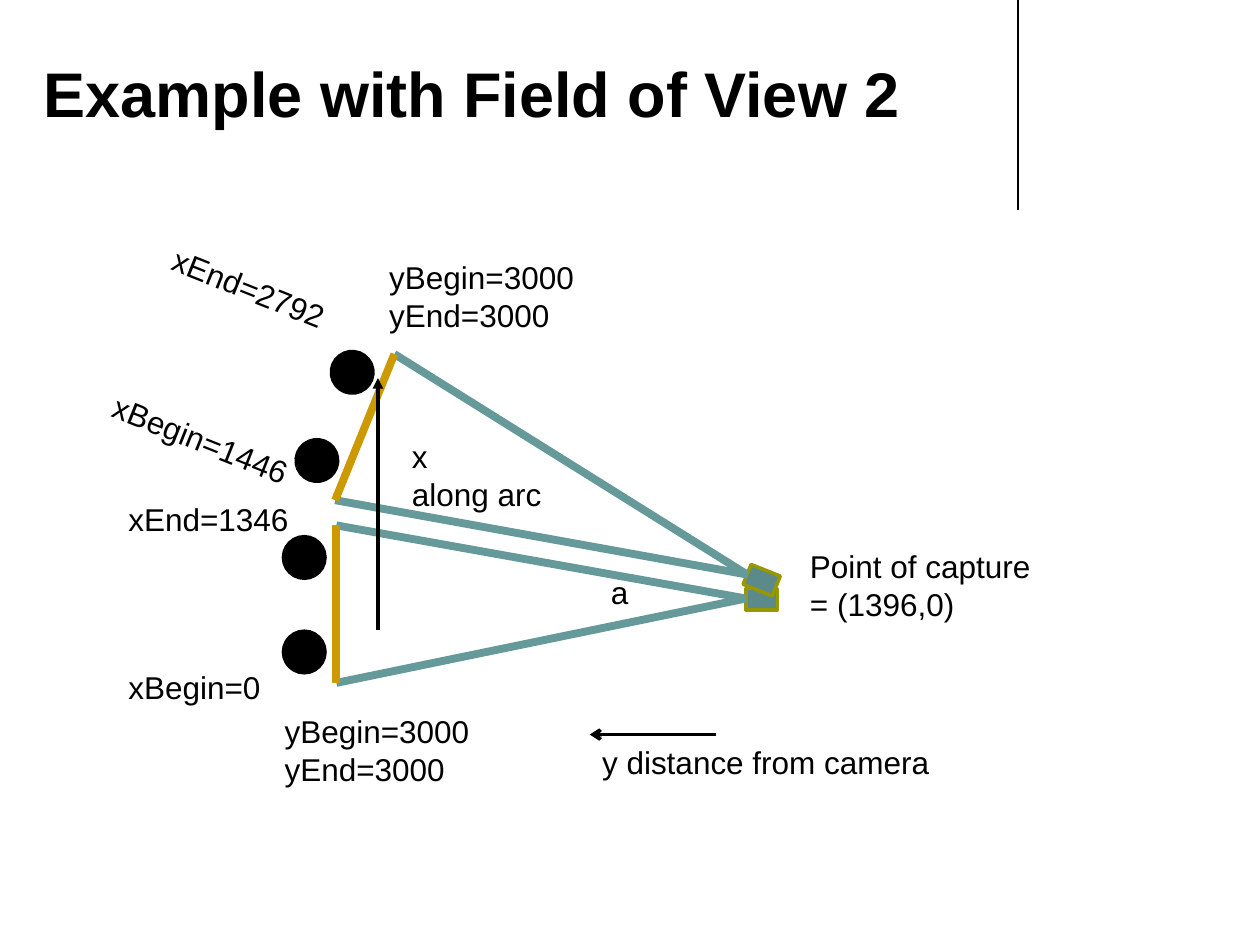
from lxml.etree import SubElement
from pptx import Presentation
from pptx.dml.color import RGBColor
from pptx.enum.shapes import MSO_CONNECTOR as Connector, MSO_SHAPE as Preset
from pptx.enum.text import MSO_ANCHOR as Anchor
from pptx.oxml.ns import qn
from pptx.util import Inches, Pt

BLACK = RGBColor(0x00, 0x00, 0x00)
TEAL = RGBColor(0x66, 0x99, 0x99)
CAMERA_FILL = RGBColor(0x5C, 0x8A, 0x8A)
OLIVE = RGBColor(0x97, 0x97, 0x00)
GOLD = RGBColor(0xCC, 0x99, 0x00)

FONT = "Arial"
TILT = 21.8
TARGET_SIZE = 0.33
CAMERA_SIZE = (0.25, 0.17)
CURVE_STEPS = 8

TITLE = ("Example with Field of View 2", 0.25, 0.13, 7.75, 0.95)
Y_RANGE = "yBegin=3000\nyEnd=3000"
LABELS = [
    ("xBegin=0", 0.92, 5.25, 1.26, 0.4, 0),
    ("Point of capture = (1396,0)", 6.33, 4.29, 2, 0.71, 0),
    ("y distance from camera", 4.68, 5.85, 2.82, 0.4, 0),
    ("xEnd=1346", 0.92, 3.92, 1.49, 0.4, 0),
    (Y_RANGE, 2.16, 5.6, 1.68, 0.71, 0),
    ("xBegin=1446", 0.76, 3.29, 1.68, 0.4, TILT),
    ("xEnd=2792", 1.24, 2.09, 1.49, 0.4, TILT),
    ("a", 4.75, 4.5, 0.43, 0.4, 0),
    (Y_RANGE, 2.99, 2, 1.68, 0.71, 0),
    ("x\nalong arc", 3.17, 3.42, 1.58, 0.71, 0),
]
VIEWS = [
    {"targets": [(2.25, 4.26), (2.25, 5.01)], "camera": (5.92, 4.67), "rotation": 0,
     "lens": (5.92, 4.75), "begin": (2.67, 5.42), "end": (2.67, 4.17)},
    {"targets": [(2.63, 2.79), (2.35, 3.49)], "camera": (5.92, 4.52), "rotation": TILT,
     "lens": (5.93, 4.56), "begin": (2.66, 3.97), "end": (3.13, 2.81)},
]
ARC_START = (2.84, 4.88)
ARC_CURVES = [
    ((2.84, 4.85), (2.83, 4.82), (2.84, 4.72)),
    ((2.84, 4.62), (2.84, 4.44), (2.87, 4.28)),
    ((2.9, 4.12), (2.96, 3.93), (3.01, 3.79)),
    ((3.05, 3.64), (3.15, 3.42), (3.15, 3.42)),
]

presentation = Presentation()
presentation.slide_width, presentation.slide_height = Inches(10), Inches(7.5)
slide = presentation.slides.add_slide(presentation.slide_layouts[6])


def add_text(text, left, top, width, height, rotation=0, size=18, bold=False, anchor=Anchor.TOP):
    box = slide.shapes.add_textbox(*map(Inches, (left, top, width, height)))
    box.rotation = rotation
    frame = box.text_frame
    frame.word_wrap = True
    frame.vertical_anchor = anchor
    frame.text = text
    for paragraph in frame.paragraphs:
        for run in paragraph.runs:
            run.font.name, run.font.size, run.font.bold = FONT, Pt(size), bold
            run.font.color.rgb = BLACK


def add_line(start, end, color, width):
    line = slide.shapes.add_connector(Connector.STRAIGHT, *map(Inches, start + end))
    line.line.color.rgb, line.line.width = color, Pt(width)
    SubElement(line._element.spPr, qn("a:effectLst"))
    return line


def add_arrowhead(shape, kind):
    SubElement(shape.line._get_or_add_ln(), qn("a:tailEnd"), type=kind)


def add_solid(preset, position, size, rotation, fill, outline):
    shape = slide.shapes.add_shape(preset, *map(Inches, position + size))
    shape.rotation = rotation
    shape.shadow.inherit = False
    shape.fill.solid()
    shape.fill.fore_color.rgb = fill
    shape.line.color.rgb, shape.line.width = outline, Pt(2)
    return shape


def add_view(view):
    rotation, lens = view["rotation"], view["lens"]
    for target in view["targets"]:
        add_solid(Preset.OVAL, target, (TARGET_SIZE, TARGET_SIZE), rotation, BLACK, BLACK)
    camera = add_solid(Preset.RECTANGLE, view["camera"], CAMERA_SIZE, rotation, CAMERA_FILL, OLIVE)
    for edge in (view["end"], view["begin"]):
        ray = add_line(lens, edge, TEAL, 4.5)
        ray.begin_connect(camera, 1)
        ray.begin_x, ray.begin_y = map(Inches, lens)
    add_line(view["begin"], view["end"], GOLD, 4.5)


def curve_points(start, curves):
    for first, second, end in curves:
        for step in range(1, CURVE_STEPS + 1):
            t = step / CURVE_STEPS
            weights = ((1 - t) ** 3, 3 * t * (1 - t) ** 2, 3 * t ** 2 * (1 - t), t ** 3)
            controls = (start, first, second, end)
            yield tuple(sum(w * point[axis] for w, point in zip(weights, controls))
                        for axis in (0, 1))
        start = end


add_line((8.08, 0), (8.08, 1.67), BLACK, 0.75)
add_text(*TITLE, size=36, bold=True, anchor=Anchor.BOTTOM)
for view in VIEWS:
    add_view(view)
add_arrowhead(add_line((5.68, 5.83), (4.68, 5.83), BLACK, 2), "arrow")

builder = slide.shapes.build_freeform(*ARC_START, scale=Inches(1))
builder.add_line_segments(list(curve_points(ARC_START, ARC_CURVES)), close=False)
arc = builder.convert_to_shape()
arc.shadow.inherit = False
arc.fill.background()
arc.line.color.rgb, arc.line.width = BLACK, Pt(2)
add_arrowhead(arc, "triangle")

for label in LABELS:
    add_text(*label)

presentation.save("out.pptx")
